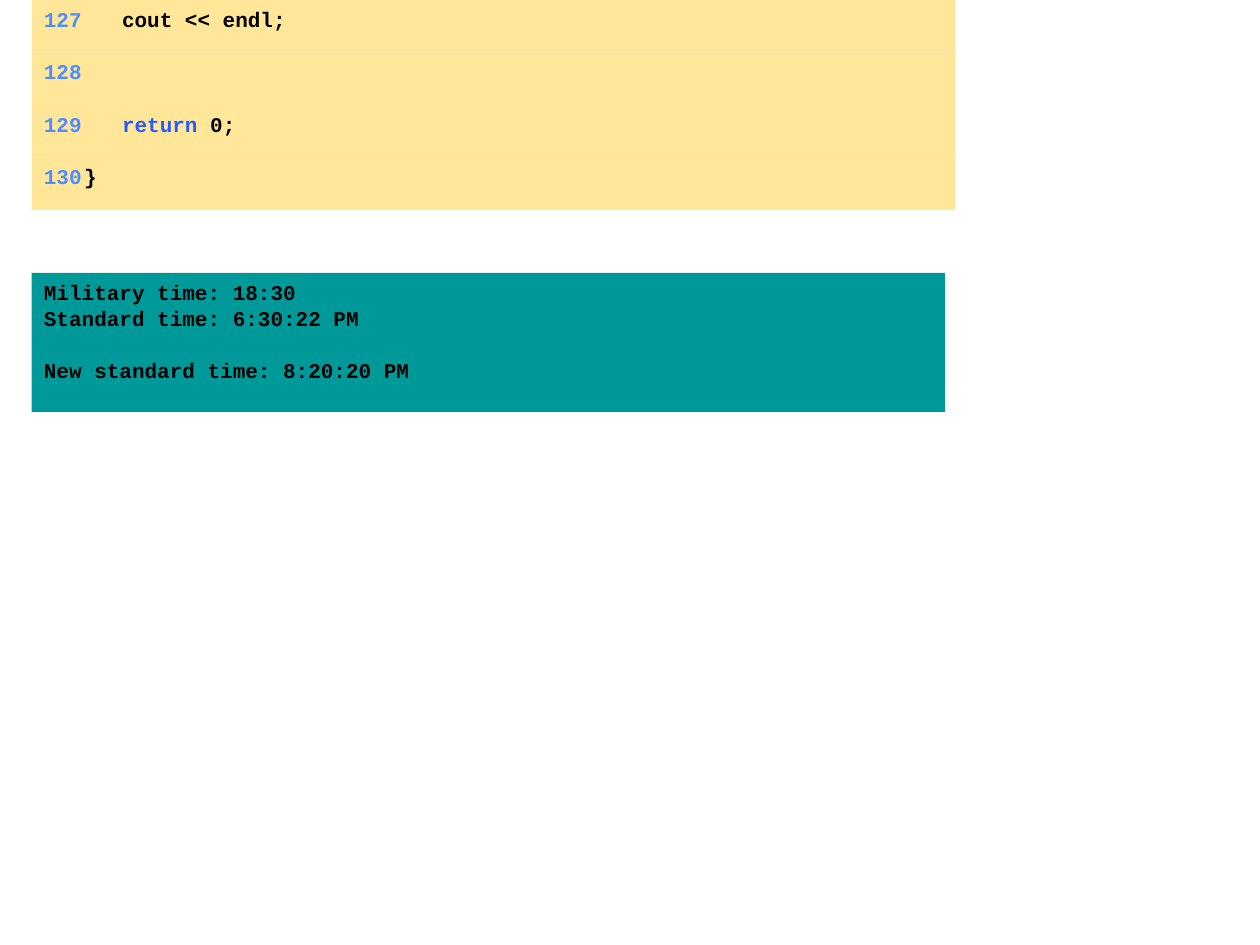
from dataclasses import dataclass

from lxml.etree import SubElement
from pptx import Presentation
from pptx.dml.color import RGBColor
from pptx.enum.shapes import MSO_SHAPE as Shape
from pptx.enum.text import MSO_ANCHOR as Anchor, PP_ALIGN as Align
from pptx.oxml.ns import qn
from pptx.util import Pt

FONT, SIZE = "Courier New", 12
LEFT, ROW_H = 18, 30
NUMBER, KEYWORD, BLACK = "4D8DFF", "275AFF", "000000"
CODE_TABS = [(0, "l"), (10.8, "r"), (23.04, "l")] + [(72 * i, "l") for i in range(1, 6)]


@dataclass
class Piece:
    text: str
    color: str = BLACK


@dataclass
class CodeLine:
    number: int
    pieces: list[Piece]


@dataclass
class OutputLine:
    text: str
    before: float = 0


CODE = [
    CodeLine(127, [Piece("   cout << endl;")]),
    CodeLine(128, []),
    CodeLine(129, [Piece("   "), Piece("return", KEYWORD), Piece(" 0;")]),
    CodeLine(130, [Piece("}")]),
]
OUTPUT = [
    OutputLine("Military time: 18:30"),
    OutputLine("Standard time: 6:30:22 PM"),
    OutputLine("New standard time: 8:20:20 PM", before=14.3),
]


def rgb(value: str) -> RGBColor:
    return RGBColor.from_string(value)


def add_panel(s, top: float, width: float, height: float, fill: str):
    """Draw a filled panel and return its text frame."""
    sp = s.shapes.add_shape(Shape.RECTANGLE, Pt(LEFT), Pt(top), Pt(width), Pt(height))
    sp.shadow.inherit = False
    sp.fill.solid()
    sp.fill.fore_color.rgb = rgb(fill)
    sp.line.fill.background()
    tf = sp.text_frame
    tf.word_wrap = True
    tf.vertical_anchor = Anchor.TOP
    tf.margin_left = tf.margin_right = Pt(7.2)
    tf.margin_top = tf.margin_bottom = Pt(3.6)
    return tf


def style_run(r, color: str) -> None:
    r.font.name, r.font.size, r.font.bold = FONT, Pt(SIZE), True
    r.font.color.rgb = rgb(color)


def set_tabs(p, tabs: list[tuple[float, str]]) -> None:
    tab_list = SubElement(p._p.get_or_add_pPr(), qn("a:tabLst"))
    for pos, align in tabs:
        SubElement(tab_list, qn("a:tab"), pos=str(int(Pt(pos))), algn=align)


def add_code_line(s, index: int, line: CodeLine) -> None:
    p = add_panel(s, index * ROW_H, 528, ROW_H, "FFE699").paragraphs[0]
    p.alignment = Align.LEFT
    set_tabs(p, CODE_TABS)
    for piece in [Piece(f"\t{line.number}\t", NUMBER), *line.pieces]:
        r = p.add_run()
        r.text = piece.text
        style_run(r, piece.color)


def add_output(s, lines: list[OutputLine]) -> None:
    tf = add_panel(s, 156, 522, 79.4, "009999")
    tf.text = "\n".join(line.text for line in lines)
    for p, line in zip(tf.paragraphs, lines):
        p.alignment = Align.LEFT
        p.space_after = Pt(0.7)
        if line.before:
            p.space_before = Pt(line.before)
        style_run(p.runs[0], BLACK)


def main() -> None:
    prs = Presentation()
    prs.slide_width, prs.slide_height = Pt(720), Pt(540)
    s = prs.slides.add_slide(prs.slide_layouts[6])

    # Numbered source lines
    for index, line in enumerate(CODE):
        add_code_line(s, index, line)

    # Program output
    add_output(s, OUTPUT)

    prs.save("out.pptx")


if __name__ == "__main__":
    main()
